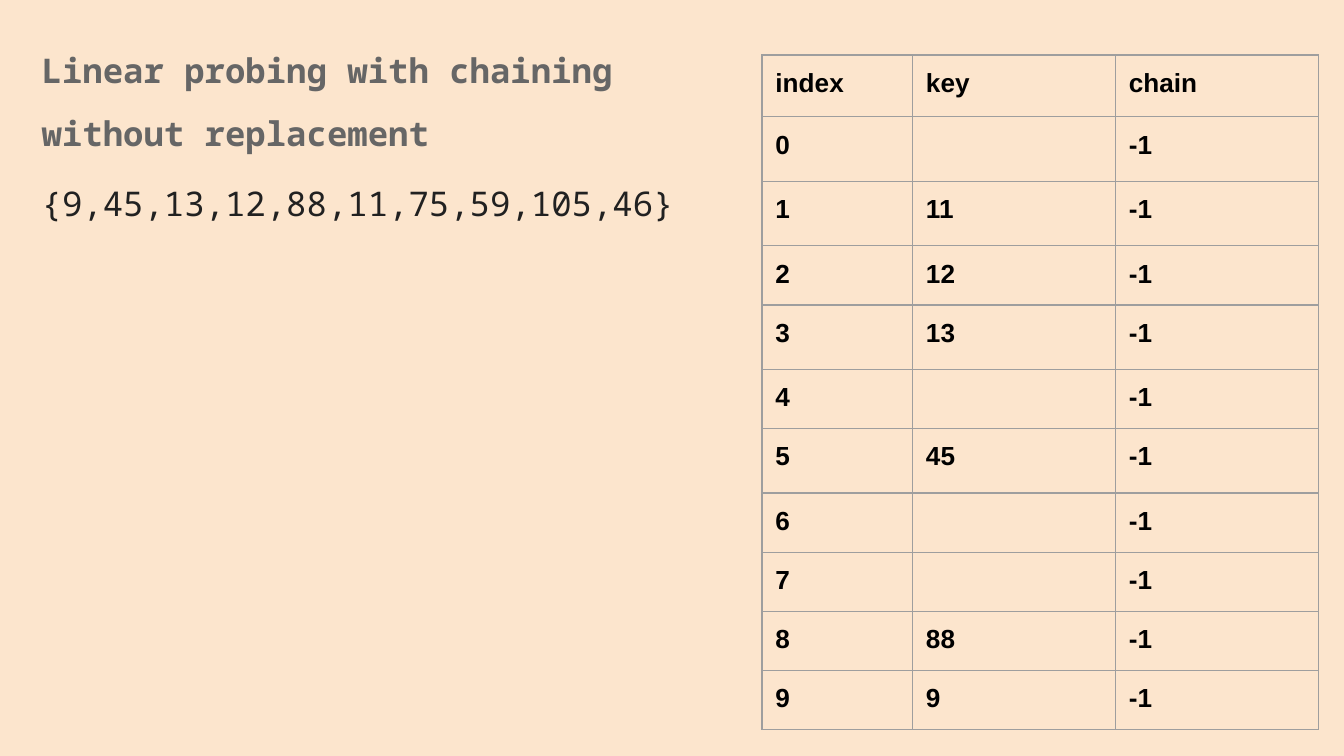
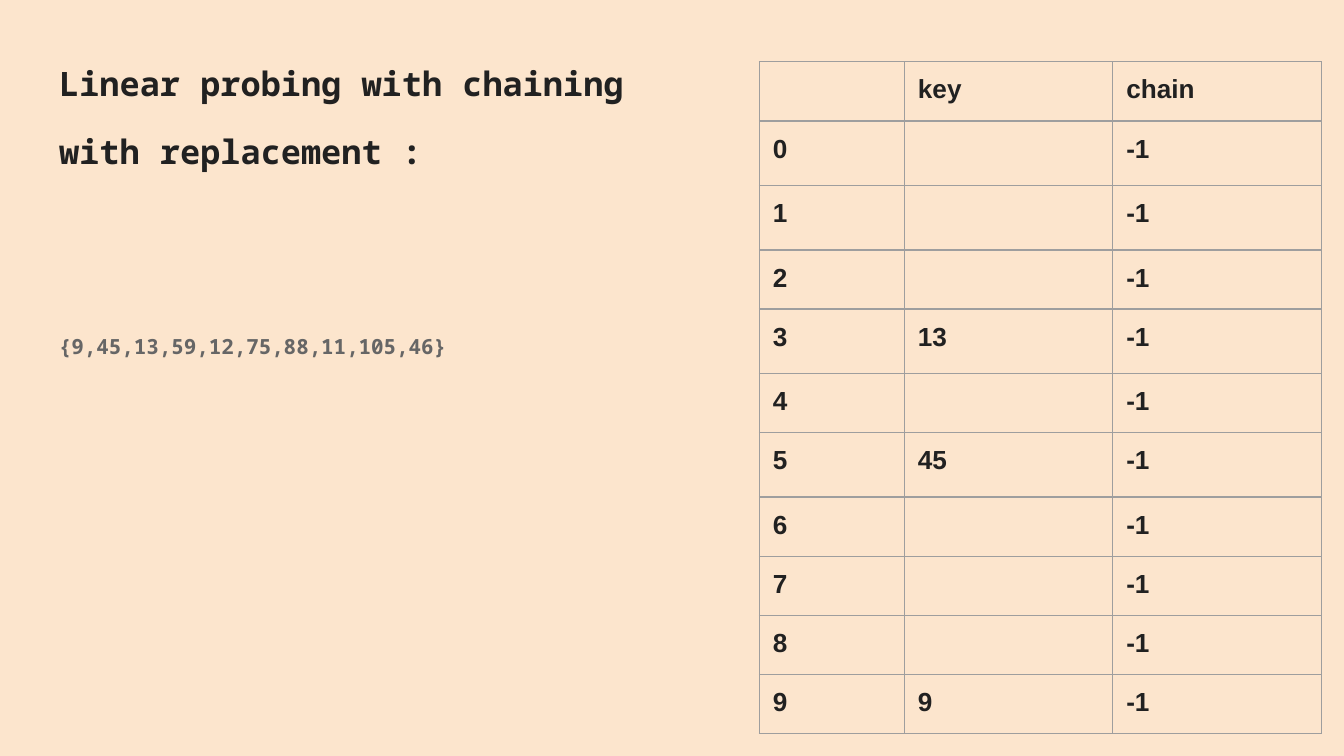
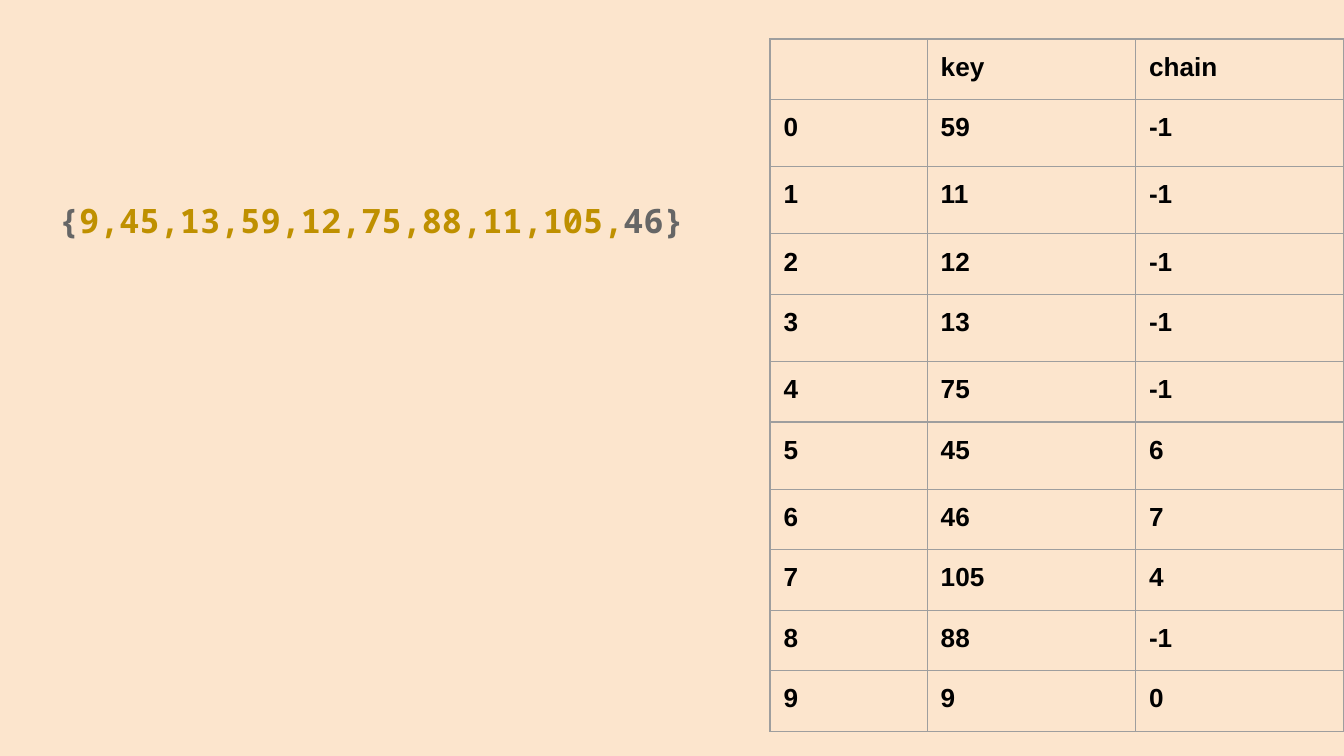
from dataclasses import dataclass

from lxml.etree import SubElement
from pptx import Presentation
from pptx.dml.color import RGBColor as RGB
from pptx.enum.text import MSO_ANCHOR as Anchor, MSO_AUTO_SIZE as AutoSize, PP_ALIGN as Align
from pptx.oxml.ns import qn
from pptx.util import Inches, Pt

TITLE_ONLY, BLANK = 5, 6
TALL_SLOTS = {0, 1, 3, 5}


@dataclass(frozen=True)
class Theme:
    """Colours, fonts and sizes shared by the slides."""
    background: str = "FCE5CD"
    grey: str = "666666"
    dark: str = "212121"
    black: str = "000000"
    gold: str = "BF9000"
    border: str = "9E9E9E"
    code_font: str = "Noto Sans Mono"
    table_font: str = "Arial"
    wide_title_size: float = 18.2
    title_size: float = 18
    small_size: float = 11.2
    table_size: float = 14
    border_width: float = 0.75
    inset: float = 0.1
    gap: float = 12


THEME = Theme()


@dataclass(frozen=True)
class Line:
    """One paragraph: (text, colour) pieces and its spacing."""
    pieces: tuple
    size: float
    bold: bool = True
    spacing: float = 1.0
    before: float = 0
    after: float = 0


def style_font(font, name, size, color, bold=True):
    """Set the face, size, weight and colour of a font."""
    font.name, font.size, font.bold = name, Pt(size), bold
    font.color.rgb = RGB.from_string(color)


def set_margins(target):
    """Give a text frame or cell the shared inset on every side."""
    target.margin_left = target.margin_right = Inches(THEME.inset)
    target.margin_top = target.margin_bottom = Inches(THEME.inset)


def write_lines(shape, box, lines):
    """Place a text shape in its box and fill it with styled lines."""
    shape.left, shape.top, shape.width, shape.height = map(Inches, box)
    frame = shape.text_frame
    frame.word_wrap, frame.auto_size = True, AutoSize.NONE
    frame.vertical_anchor = Anchor.TOP
    set_margins(frame)
    for number, line in enumerate(lines):
        paragraph = frame.add_paragraph() if number else frame.paragraphs[0]
        paragraph.alignment = Align.LEFT
        paragraph.line_spacing = line.spacing
        paragraph.space_before, paragraph.space_after = Pt(line.before), Pt(line.after)
        style_font(paragraph.font, THEME.code_font, line.size, line.pieces[0][1], line.bold)
        for text, color in line.pieces:
            run = paragraph.add_run()
            run.text = text
            if len(line.pieces) > 1:
                run.font.color.rgb = RGB.from_string(color)


def add_text(slide, box, lines):
    """Add a text box holding the lines."""
    write_lines(slide.shapes.add_textbox(*map(Inches, box)), box, lines)


def add_borders(cell):
    """Draw the shared thin border on all four sides of a cell."""
    properties = cell._tc.get_or_add_tcPr()
    for side in ("a:lnL", "a:lnR", "a:lnT", "a:lnB"):
        edge = SubElement(properties, qn(side), w=str(Pt(THEME.border_width)))
        fill = SubElement(edge, qn("a:solidFill"))
        SubElement(fill, qn("a:srgbClr"), val=THEME.border)


def fill_cell(cell, text, color):
    """Write and format one table cell."""
    set_margins(cell)
    add_borders(cell)
    cell.fill.background()
    paragraph = cell.text_frame.paragraphs[0]
    style_font(paragraph.font, THEME.table_font, THEME.table_size, color)
    if text:
        paragraph.add_run().text = text
    else:
        SubElement(paragraph._p, qn("a:endParaRPr"), sz=str(int(THEME.table_size * 100)))


def add_hash_table(slide, origin, widths, heights, color, keys, chains=None, corner=""):
    """Draw a ten-slot hash table; heights are header, tall and short."""
    header, tall, short = heights
    chains = chains or {}
    rows = [(corner, "key", "chain")]
    rows += [(str(slot), str(keys.get(slot, "")), str(chains.get(slot, -1))) for slot in range(10)]
    row_heights = [header] + [tall if slot in TALL_SLOTS else short for slot in range(10)]
    table = slide.shapes.add_table(len(rows), len(widths), *map(
        Inches, (*origin, sum(widths), sum(row_heights)))).table
    table.first_row = table.horz_banding = False
    for column, width in zip(table.columns, widths):
        column.width = Inches(width)
    for row, height, texts in zip(table.rows, row_heights, rows):
        row.height = Inches(height)
        for cell, text in zip(row.cells, texts):
            fill_cell(cell, text, color)


def build_without_replacement(presentation):
    """Chaining without replacement: title, input set and table."""
    slide = presentation.slides.add_slide(presentation.slide_layouts[TITLE_ONLY])
    size, gap = THEME.wide_title_size, THEME.gap
    write_lines(slide.shapes.title, (0.21, 0.27, 9.32, 0.88), [
        Line((("Linear probing with chaining", THEME.grey),), size),
        Line((("without replacement", THEME.grey),), size, before=gap),
        Line((("{9,45,13,12,88,11,75,59,105,46}", THEME.dark),), size,
             bold=False, spacing=1.15, before=gap, after=gap),
    ])
    add_hash_table(slide, (5.67, 0.41), (1.12, 1.51, 1.51), (0.46, 0.48, 0.44), THEME.black,
                   {1: 11, 2: 12, 3: 13, 5: 45, 8: 88, 9: 9}, corner="index")


def build_with_replacement(presentation):
    """Chaining with replacement: title, input set and first keys."""
    slide = presentation.slides.add_slide(presentation.slide_layouts[TITLE_ONLY])
    size, gap = THEME.title_size, THEME.gap
    write_lines(slide.shapes.title, (0.34, 0.32, 4.6, 1.22), [
        Line((("Linear probing with chaining", THEME.dark),), size, spacing=1.15),
        Line((("with replacement :", THEME.dark),), size, spacing=1.15, before=gap, after=gap),
    ])
    add_text(slide, (0.34, 2.4, 4.88, 0.56), [
        Line((("{9,45,13,59,12,75,88,11,105,46}", THEME.grey),), THEME.small_size,
             spacing=0.95, after=gap),
    ])
    add_hash_table(slide, (5.65, 0.46), (1.08, 1.55, 1.55), (0.44, 0.48, 0.44), THEME.dark,
                   {3: 13, 5: 45, 9: 9})


def build_final_table(presentation):
    """Input set with placed keys highlighted, and the full table."""
    slide = presentation.slides.add_slide(presentation.slide_layouts[BLANK])
    pieces = (("{", THEME.grey), ("9,45,13,59,12,75,88,11,105,", THEME.gold), ("46}", THEME.grey))
    add_text(slide, (0.34, 1.34, 9.32, 3.65),
             [Line(pieces, THEME.title_size, spacing=1.15, after=THEME.gap)])
    keys = dict(enumerate((59, 11, 12, 13, 75, 45, 46, 105, 88, 9)))
    add_hash_table(slide, (5.73, 0.29), (1.17, 1.55, 1.55), (0.45, 0.5, 0.45), THEME.black,
                   keys, {5: 6, 6: 7, 7: 4, 9: 0})


def main():
    """Build and save the presentation."""
    presentation = Presentation()
    presentation.slide_width = Inches(10)
    presentation.slide_height = Inches(10 * 9 / 16)
    background = presentation.slide_master.background.fill
    background.solid()
    background.fore_color.rgb = RGB.from_string(THEME.background)
    build_without_replacement(presentation)
    build_with_replacement(presentation)
    build_final_table(presentation)
    presentation.save("out.pptx")


if __name__ == "__main__":
    main()
